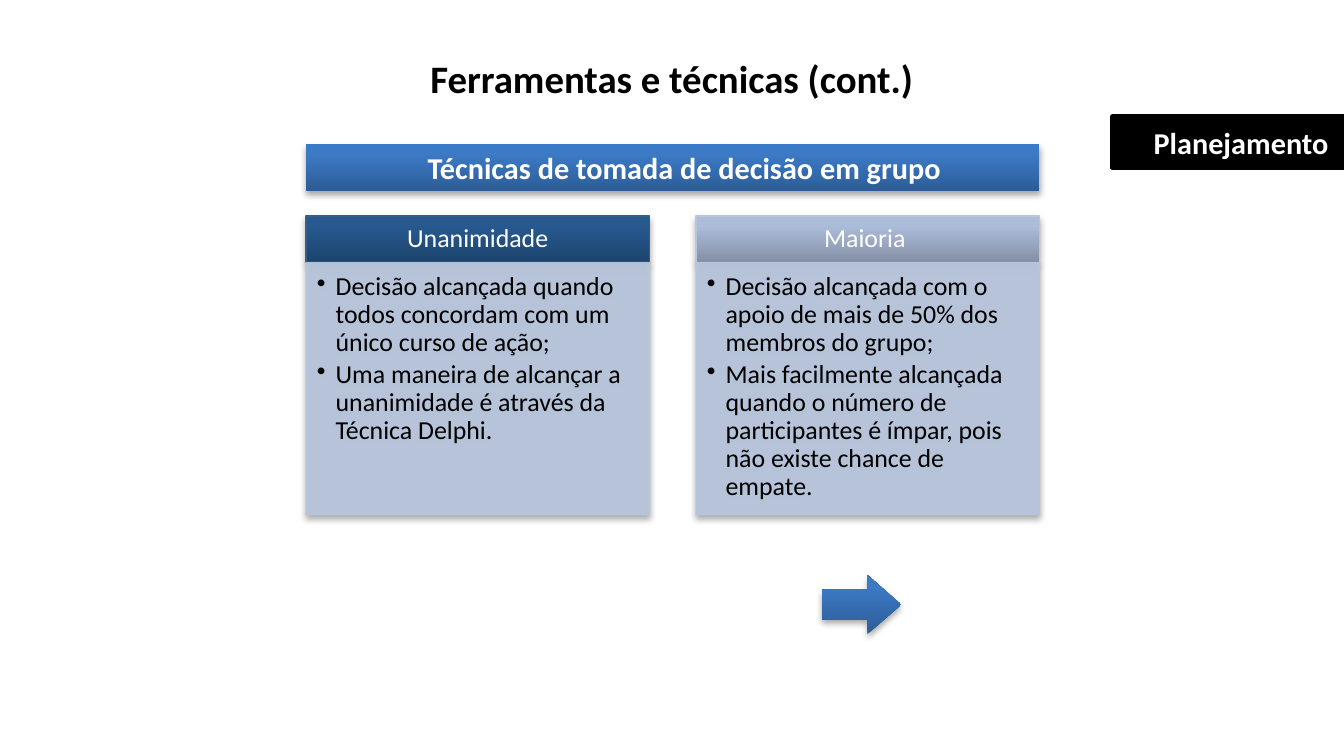
from lxml.etree import SubElement as Sub
from pptx import Presentation
from pptx.dml.color import RGBColor
from pptx.enum.shapes import MSO_SHAPE as Geo
from pptx.enum.text import MSO_ANCHOR as Anchor, MSO_AUTO_SIZE as Fit, PP_ALIGN as Align
from pptx.oxml.ns import qn
from pptx.util import Pt

PX = 9144  # 100 px to the inch
BLACK = RGBColor(0, 0, 0)
WHITE = RGBColor(0xFF, 0xFF, 0xFF)
PALE = RGBColor(0xB7, 0xC6, 0xDE)
NAVY = RGBColor(0x36, 0x5E, 0x89)
MIST = RGBColor(0xB9, 0xC6, 0xDD)

# Gradient colours at 0, 80 and 100 percent, from the bottom up
BLUE = [RGBColor(0x2D, 0x5C, 0x97), RGBColor(0x3C, 0x7A, 0xC5), RGBColor(0x39, 0x7B, 0xC9)]
DEEP = [RGBColor(0x1D, 0x44, 0x6D), RGBColor(0x27, 0x59, 0x90), RGBColor(0x25, 0x5A, 0x93)]
GREY = [RGBColor(0x84, 0x8F, 0xA5), RGBColor(0xAC, 0xBD, 0xDA), RGBColor(0xAC, 0xBE, 0xDC)]


def write(shape, *texts, size=12, color=BLACK, bold=False, align=Align.CENTER,
          anchor=Anchor.MIDDLE, pad=(10, 5, 10, 5), space=1.0, left=0, bullet=False):
    frame = shape.text_frame
    frame.word_wrap = True
    frame.auto_size = Fit.NONE
    frame.vertical_anchor = anchor
    (frame.margin_left, frame.margin_top,
     frame.margin_right, frame.margin_bottom) = [n * PX for n in pad]
    for i, text in enumerate(texts):
        para = frame.paragraphs[0] if i == 0 else frame.add_paragraph()
        props = para._p.get_or_add_pPr()
        props.set("marL", str(left * PX))
        props.set("indent", str(-left * PX if bullet else 0))
        if bullet:
            para.level = 1
            tint = Sub(props, qn("a:buClr"))
            Sub(tint, qn("a:srgbClr"), val=str(BLACK))
            Sub(props, qn("a:buChar"), char="•")
        para.alignment = align
        para.line_spacing = space
        para.space_before = Pt(1.8 if i else 0)
        run = para.add_run()
        run.text = text
        font = run.font
        font.name, font.size, font.bold = "Calibri", Pt(size), bold
        font.color.rgb = color


class Deck:
    def __init__(self, wide, high):
        self.file = Presentation()
        self.file.slide_width, self.file.slide_height = wide * PX, high * PX
        self.slide = self.file.slides.add_slide(self.file.slide_layouts[5])

    def title(self, text, x, y, w, h):
        shape = self.slide.shapes.title
        shape.left, shape.top, shape.width, shape.height = [n * PX for n in (x, y, w, h)]
        write(shape, text, size=18, bold=True, anchor=Anchor.TOP)

    def box(self, x, y, w, h, fill, geo=Geo.RECTANGLE, line=None, weight=0.75,
            alpha=None, shadow=True):
        shape = self.slide.shapes.add_shape(geo, *[n * PX for n in (x, y, w, h)])
        shape.shadow.inherit = False
        if isinstance(fill, list):
            self.grade(shape, fill)
        else:
            shape.fill.solid()
            shape.fill.fore_color.rgb = fill
        if line is None:
            shape.line.fill.background()
        else:
            shape.line.color.rgb = line
            shape.line.width = Pt(weight)
        props = shape.element.spPr
        if alpha:
            for tint in props.iter(qn("a:srgbClr")):
                Sub(tint, qn("a:alpha"), val=str(alpha * 1000))
        if shadow:
            self.shade(props.find(qn("a:effectLst")))
        return shape

    def grade(self, shape, colors):
        shape.fill.gradient()
        shape.fill.gradient_angle = 90
        stops = next(shape.element.spPr.iter(qn("a:gsLst")))
        for old in list(stops):
            stops.remove(old)
        for place, color in zip((0, 80, 100), colors):
            stop = Sub(stops, qn("a:gs"), pos=str(place * 1000))
            Sub(stop, qn("a:srgbClr"), val=str(color))

    def shade(self, effects):
        cast = Sub(effects, qn("a:outerShdw"), blurRad=str(Pt(3.1)), dist=str(Pt(1.8)),
                   dir="5400000", rotWithShape="0")
        tint = Sub(cast, qn("a:srgbClr"), val=str(BLACK))
        Sub(tint, qn("a:alpha"), val="35000")

    def card(self, x, head, fill, line, *points):
        top = self.box(x, 139, 221, 30, fill, line=line)
        write(top, head, color=WHITE, pad=(9, 5, 9, 5), space=0.9)
        body = self.box(x, 169, 221, 162, PALE, line=PALE, alpha=90)
        write(body, *points, align=Align.LEFT, anchor=Anchor.TOP, pad=(7, 7, 9, 10),
              space=0.9, left=12, bullet=True)


def main():
    deck = Deck(865, 469)

    # Title and phase tag
    deck.title("Ferramentas e técnicas (cont.)", 0, 30, 865, 40)
    tag = deck.box(716, 75, 149, 33, BLACK, line=BLACK, weight=2, shadow=False)
    write(tag, "Planejamento", size=14, color=WHITE, bold=True, align=Align.RIGHT)

    # Heading over both cards
    head = deck.box(197, 93, 472, 30, BLUE)
    write(head, "Técnicas de tomada de decisão em grupo", size=14, color=WHITE,
          bold=True, pad=(7, 4, 7, 4), left=15)

    # Decision cards
    deck.card(197, "Unanimidade", DEEP, NAVY,
              "Decisão alcançada quando todos concordam com um único curso de ação;",
              "Uma maneira de alcançar a unanimidade é através da Técnica Delphi.")
    deck.card(448, "Maioria ", GREY, MIST,
              "Decisão alcançada com o apoio de mais de 50% dos membros do grupo;",
              "Mais facilmente alcançada quando o número de participantes é ímpar, "
              "pois não existe chance de empate.")

    # Arrow to the next slide
    arrow = deck.box(529, 370, 51, 38, BLUE, geo=Geo.RIGHT_ARROW)
    arrow.adjustments[1] = 0.57

    deck.file.save("out.pptx")


if __name__ == "__main__":
    main()
